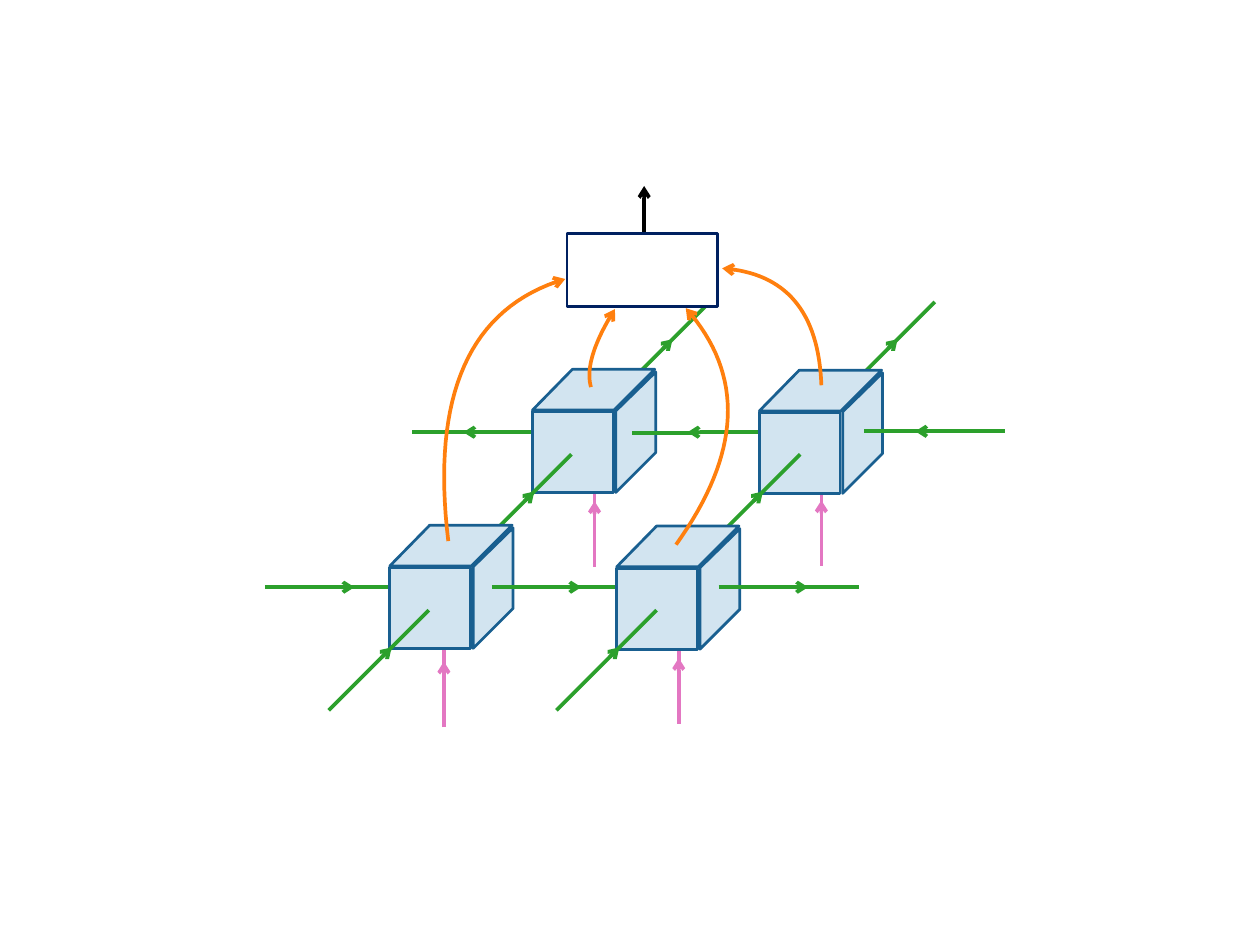
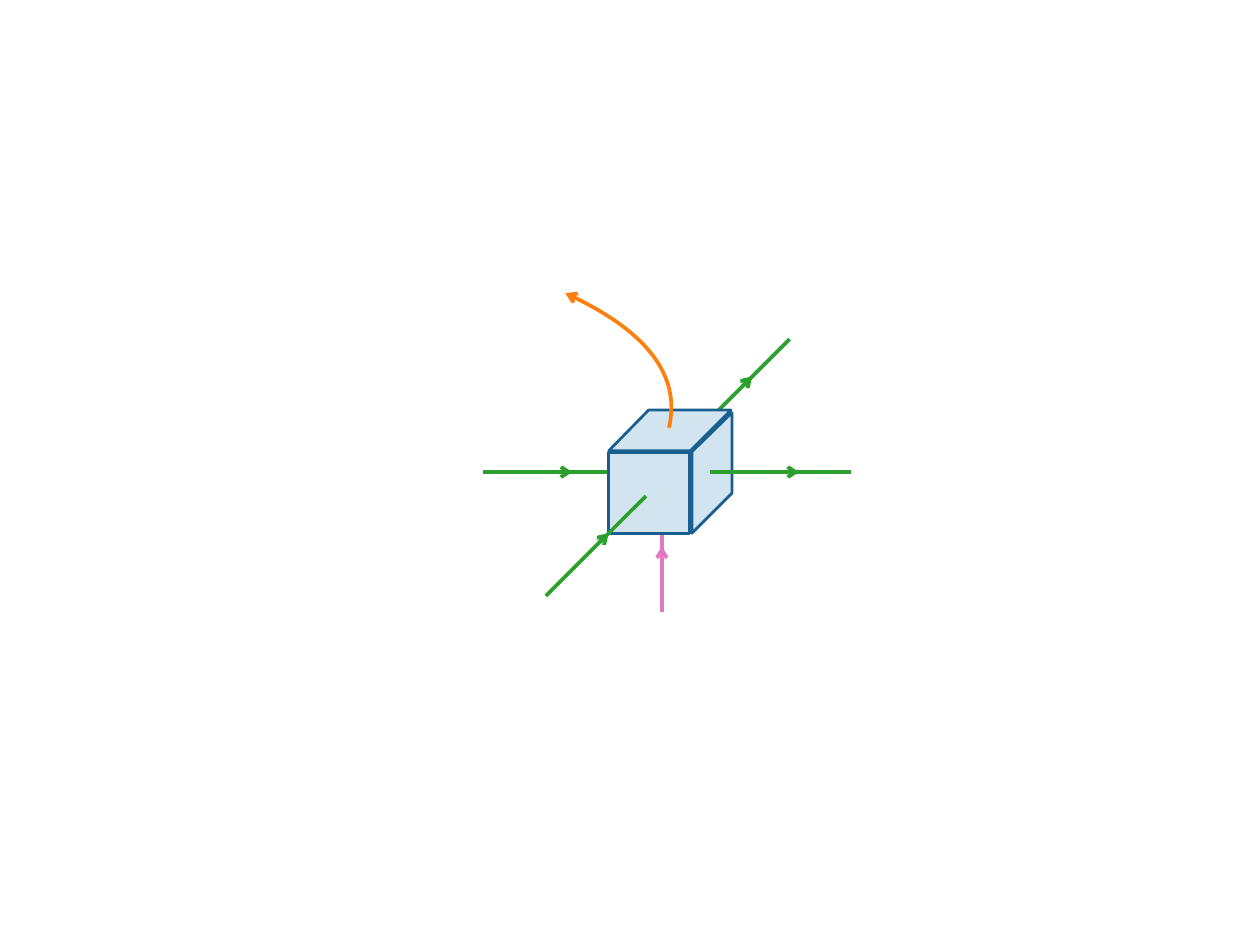
from lxml import etree
from pptx import Presentation
from pptx.dml.color import RGBColor
from pptx.enum import shapes
from pptx.oxml.ns import qn
from pptx.util import Inches, Pt

COLORS = {
    "flow": "2CA02C", "input": "E377C2", "output": "FF7F0E", "result": "000000",
    "cube_fill": "D2E4F0", "cube_edge": "195F90", "box_fill": "FFFFFF", "box_edge": "002060",
}

# Each direction: colour, arrow tip, then start and end of the line that continues it
FLOWS = {
    "right": ("flow", (1.01, 0), (0.85, 0), (1.59, 0)),
    "left": ("flow", (-1.01, 0), (-0.85, 0), (-1.59, 0)),
    "back": ("flow", (0.71, -0.71), (0.6, -0.6), (1.13, -1.13)),
    "up": ("input", (0, -0.74), (0, -0.65), (0, -1.13)),
}

# Faces of a cube, measured from its top left corner
CUBE_FACES = [
    [(0.45, 0), (0, 0.46), (0.92, 0.46), (1.38, 0)],
    [(1.39, 0.03), (0.94, 0.47), (0.94, 1.39), (1.39, 0.94)],
    [(0, 0.48), (0, 1.39), (0.91, 1.39), (0.91, 0.48)],
]

# Parts from back to front: kind, then positions in inches
GRID = [
    ("left", (6.24, 4.88)),
    ("left head", (8.77, 4.88)),
    ("back", (9.42, 4.54)),
    ("back", (6.88, 4.54)),
    ("up", (9.27, 6.39)),
    ("up", (7.66, 8.17)),
    ("up", (6.71, 6.4)),
    ("cube", (6.01, 4.17)),
    ("back", (5.32, 6.26)),
    ("cube", (8.57, 4.18)),
    ("back", (7.9, 6.26)),
    ("up", (5.01, 8.21)),
    ("right", (2.99, 6.63)),
    ("cube", (4.4, 5.93)),
    ("right", (5.55, 6.63)),
    ("cube", (6.96, 5.94)),
    ("right", (8.11, 6.63)),
    ("back", (3.71, 8.02)),
    ("back", (6.28, 8.02)),
    ("curve", (5.06, 6.11), (4.86, 4.46), (5.3, 3.47), (6.38, 3.15)),
    ("curve", (7.63, 6.15), (8.37, 5.12), (8.41, 4.23), (7.74, 3.48)),
    ("curve", (9.27, 4.35), (9.24, 3.52), (8.87, 3.08), (8.15, 3.03)),
    ("box", (6.4, 2.64), (1.7, 0.82)),
    ("curve", (6.67, 4.37), (6.61, 4.17), (6.7, 3.87), (6.94, 3.49)),
    ("result", (7.27, 2.62), (7.27, 2.1)),
    ("left rest", (8.72, 4.89)),
    ("left", (11.34, 4.87)),
]
SINGLE_CELL = [
    ("back", (7.78, 4.96)),
    ("up", (7.47, 6.91)),
    ("right", (5.45, 5.33)),
    ("cube", (6.87, 4.63)),
    ("right", (8.01, 5.33)),
    ("back", (6.16, 6.73)),
    ("curve", (7.55, 4.83), (7.69, 4.24), (7.3, 3.73), (6.38, 3.31)),
]
CURVE_STEPS = 32


def rgb(name):
    return RGBColor.from_string(COLORS[name])


def emu(point):
    return tuple(Inches(value) for value in point)


def shift(point, offset):
    return point[0] + offset[0], point[1] + offset[1]


def style_line(shape, color, width=3, arrow=False):
    shape.line.color.rgb = rgb(color)
    shape.line.width = Pt(width)
    if arrow:
        line = shape._element.spPr.get_or_add_ln()
        etree.SubElement(line, qn("a:tailEnd"), type="arrow")


def style_solid(shape, fill, edge):
    shape.shadow.inherit = False
    shape.fill.solid()
    shape.fill.fore_color.rgb = rgb(fill)
    style_line(shape, edge, 2.25)


def add_line(slide, start, end, color, arrow=False):
    connector = slide.shapes.add_connector(
        shapes.MSO_CONNECTOR.STRAIGHT, *emu(start), *emu(end))
    style_line(connector, color, arrow=arrow)
    etree.SubElement(connector._element.spPr, qn("a:effectLst"))


def add_flow(slide, kind, start):
    """Draw a line with an arrowhead part way: its head, its rest, or both."""
    direction, _, part = kind.partition(" ")
    color, tip, rest_start, rest_end = FLOWS[direction]
    if part != "rest":
        add_line(slide, start, shift(start, tip), color, arrow=True)
    if part != "head":
        add_line(slide, shift(start, rest_start), shift(start, rest_end), color)


def add_cube(slide, corner):
    faces = [[emu(shift(corner, point)) for point in face] for face in CUBE_FACES]
    builder = slide.shapes.build_freeform(*faces[0][0])
    for face in faces:
        builder.move_to(*face[0])
        builder.add_line_segments(face[1:], close=True)
    style_solid(builder.convert_to_shape(), "cube_fill", "cube_edge")


def bezier(controls, t):
    weights = ((1 - t) ** 3, 3 * t * (1 - t) ** 2, 3 * t ** 2 * (1 - t), t ** 3)
    return tuple(sum(w * value for w, value in zip(weights, axis)) for axis in zip(*controls))


def add_curve(slide, *controls):
    points = [emu(bezier(controls, step / CURVE_STEPS)) for step in range(CURVE_STEPS + 1)]
    builder = slide.shapes.build_freeform(*points[0])
    builder.add_line_segments(points[1:], close=False)
    curve = builder.convert_to_shape()
    curve.shadow.inherit = False
    curve.fill.background()
    style_line(curve, "output", arrow=True)


def add_box(slide, corner, size):
    box = slide.shapes.add_shape(shapes.MSO_SHAPE.RECTANGLE, *emu(corner), *emu(size))
    style_solid(box, "box_fill", "box_edge")


def add_result(slide, start, end):
    add_line(slide, start, end, "result", arrow=True)


DRAW = {"cube": add_cube, "curve": add_curve, "box": add_box, "result": add_result}


def main():
    presentation = Presentation()
    presentation.slide_width, presentation.slide_height = emu((14.22, 10.67))
    for parts in (GRID, SINGLE_CELL):
        slide = presentation.slides.add_slide(presentation.slide_layouts[6])
        for kind, *points in parts:
            if kind in DRAW:
                DRAW[kind](slide, *points)
            else:
                add_flow(slide, kind, *points)
    presentation.save("out.pptx")


if __name__ == "__main__":
    main()
